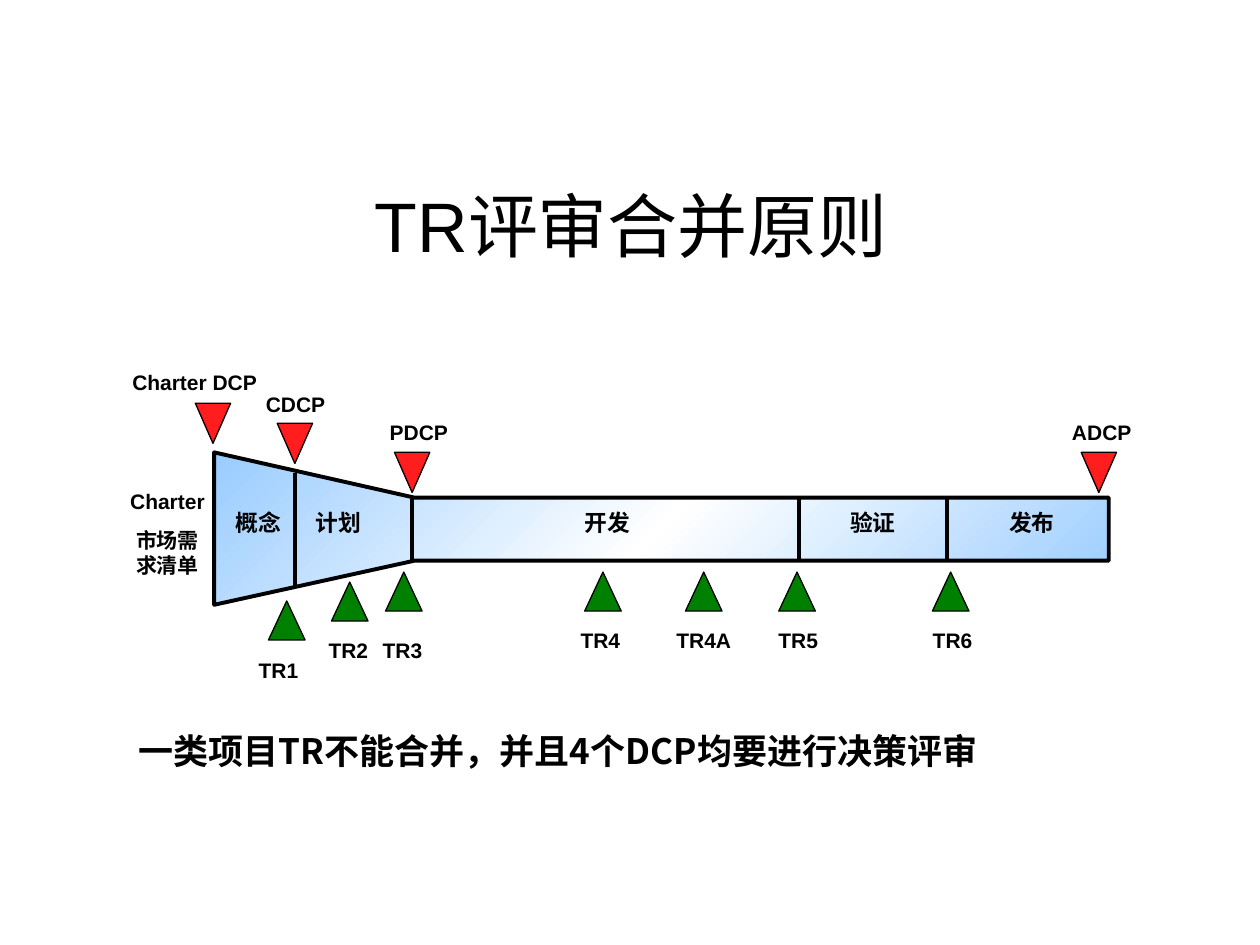
from copy import deepcopy

from lxml import etree
from pptx import Presentation
from pptx.dml.color import RGBColor
from pptx.enum.shapes import MSO_CONNECTOR, MSO_SHAPE
from pptx.enum.text import MSO_ANCHOR, PP_ALIGN
from pptx.oxml.ns import qn
from pptx.util import Pt

LEFT, CENTER = PP_ALIGN.LEFT, PP_ALIGN.CENTER
TOP, MIDDLE = MSO_ANCHOR.TOP, MSO_ANCHOR.MIDDLE
TRIANGLE = MSO_SHAPE.ISOSCELES_TRIANGLE
STRAIGHT = MSO_CONNECTOR.STRAIGHT

FUNNEL = [(122.4, 258.5), (236.9, 284.4), (633.6, 284.4),
          (633.6, 320.4), (236.9, 320.4), (122.4, 345.6)]
DIVIDERS = [(168.5, 270, 336.2), (235.4, 285, 321),
            (456.5, 284.4, 321), (541.4, 284.4, 321)]
PHASES = [("概念", 127.4, 46), ("计划", 173.5, 41), ("开发", 326.9, 44.6),
          ("验证", 478.8, 56.9), ("发布", 569.5, 56.9)]
DECISIONS = [("Charter DCP", 64.8, 207.4, 92.9, 111.6, 230.4),
             ("CDCP", 139, 220.3, 59.8, 158.4, 241.9),
             ("PDCP", 206.6, 236.2, 65.5, 225.4, 258.5),
             ("ADCP", 598.3, 236.2, 62.6, 617.8, 258.5)]
REVIEWS = [("TR1", 139, 372.2, 40.3, 153.4, 343.4),
           ("TR2", 178.6, 360.7, 41, 189.4, 332.6),
           ("TR3", 209.5, 360.7, 41, 220.3, 326.9),
           ("TR4", 320.4, 355, 45.4, 334.1, 326.9),
           ("TR4A", 365.8, 355, 72.7, 391.7, 326.9),
           ("TR5", 432.7, 355, 46.8, 445, 326.9),
           ("TR6", 524.2, 355, 40.3, 532.8, 326.9)]


def color(value):
    return RGBColor.from_string(value)


class Board:
    """Draws styled elements on the current slide, with lengths in points."""

    ink, pale, white = "000000", "99CCFF", "FFFFFF"
    red, green = "FF1D1D", "008000"
    latin, chinese = "Arial", "Noto Sans CJK SC"
    thick, thin = 2.25, 0.75

    def __init__(self, slide):
        self.slide = slide

    def outline(self, shape, width):
        shape.line.color.rgb = color(self.ink)
        shape.line.width = Pt(width)

    def text(self, words, left, top, width, height, size=12, bold=True,
             align=CENTER, anchor=TOP, font=latin):
        box = self.slide.shapes.add_textbox(Pt(left), Pt(top), Pt(width), Pt(height))
        frame = box.text_frame
        frame.word_wrap = True
        frame.vertical_anchor = anchor
        frame.text = words
        for number, paragraph in enumerate(frame.paragraphs):
            paragraph.alignment = align
            if number:
                paragraph.space_before = Pt(7.5)
            for run in paragraph.runs:
                run.font.size = Pt(size)
                run.font.bold = bold
                run.font.color.rgb = color(self.ink)
                run.font.name = font
                east_asian = etree.SubElement(run.font._element, qn("a:ea"))
                east_asian.set("typeface", self.chinese)

    def funnel(self, points):
        corners = [(Pt(x), Pt(y)) for x, y in points]
        builder = self.slide.shapes.build_freeform(*corners[0])
        builder.add_line_segments(corners[1:], close=True)
        shape = builder.convert_to_shape()
        shape.shadow.inherit = False
        self.outline(shape, self.thick)
        shape.fill.gradient()
        shape.fill.gradient_angle = 315
        stop_list = shape.element.spPr.find(qn("a:gradFill")).find(qn("a:gsLst"))
        stop_list.insert(1, deepcopy(stop_list[0]))
        tints = (self.pale, self.white, self.pale)
        for number, (stop, tint) in enumerate(zip(shape.fill.gradient_stops, tints)):
            stop.position = number / 2
            stop.color.rgb = color(tint)

    def divider(self, x, top, bottom):
        line = self.slide.shapes.add_connector(STRAIGHT, Pt(x), Pt(top), Pt(x), Pt(bottom))
        self.outline(line, self.thick)
        etree.SubElement(line.element.spPr, qn("a:effectLst"))

    def marker(self, left, top, width, height, fill, down=False):
        shape = self.slide.shapes.add_shape(TRIANGLE, Pt(left), Pt(top), Pt(width), Pt(height))
        shape.shadow.inherit = False
        shape.fill.solid()
        shape.fill.fore_color.rgb = color(fill)
        self.outline(shape, self.thin)
        if down:
            shape.element.spPr.find(qn("a:xfrm")).set("flipV", "1")

    def gate(self, name, left, top, width, marker_left, marker_top, decision):
        if decision:
            self.marker(marker_left, marker_top, 20.2, 23, self.red, down=True)
        else:
            self.marker(marker_left, marker_top, 20.9, 22.3, self.green)
        self.text(name, left, top, width, 21.6)


def main():
    presentation = Presentation()
    presentation.slide_width, presentation.slide_height = Pt(720), Pt(540)
    board = Board(presentation.slides.add_slide(presentation.slide_layouts[6]))
    board.funnel(FUNNEL)
    for divider in DIVIDERS:
        board.divider(*divider)
    for name, left, width in PHASES:
        board.text(name, left, 287.3, width, 23, size=13, align=LEFT)
    for gate in DECISIONS:
        board.gate(*gate, decision=True)
    for gate in REVIEWS:
        board.gate(*gate, decision=False)
    board.text("Charter\n市场需求清单", 64.8, 275.8, 61.9, 58.3)
    board.text("一类项目TR不能合并，并且4个DCP均要进行决策评审", 72, 400.3, 648, 56.9,
               size=20, align=LEFT, anchor=MIDDLE, font=board.chinese)
    board.text("TR评审合并原则", 36.7, 100.1, 648, 56.9,
               size=40, bold=False, anchor=MIDDLE)
    presentation.save("out.pptx")


if __name__ == "__main__":
    main()
